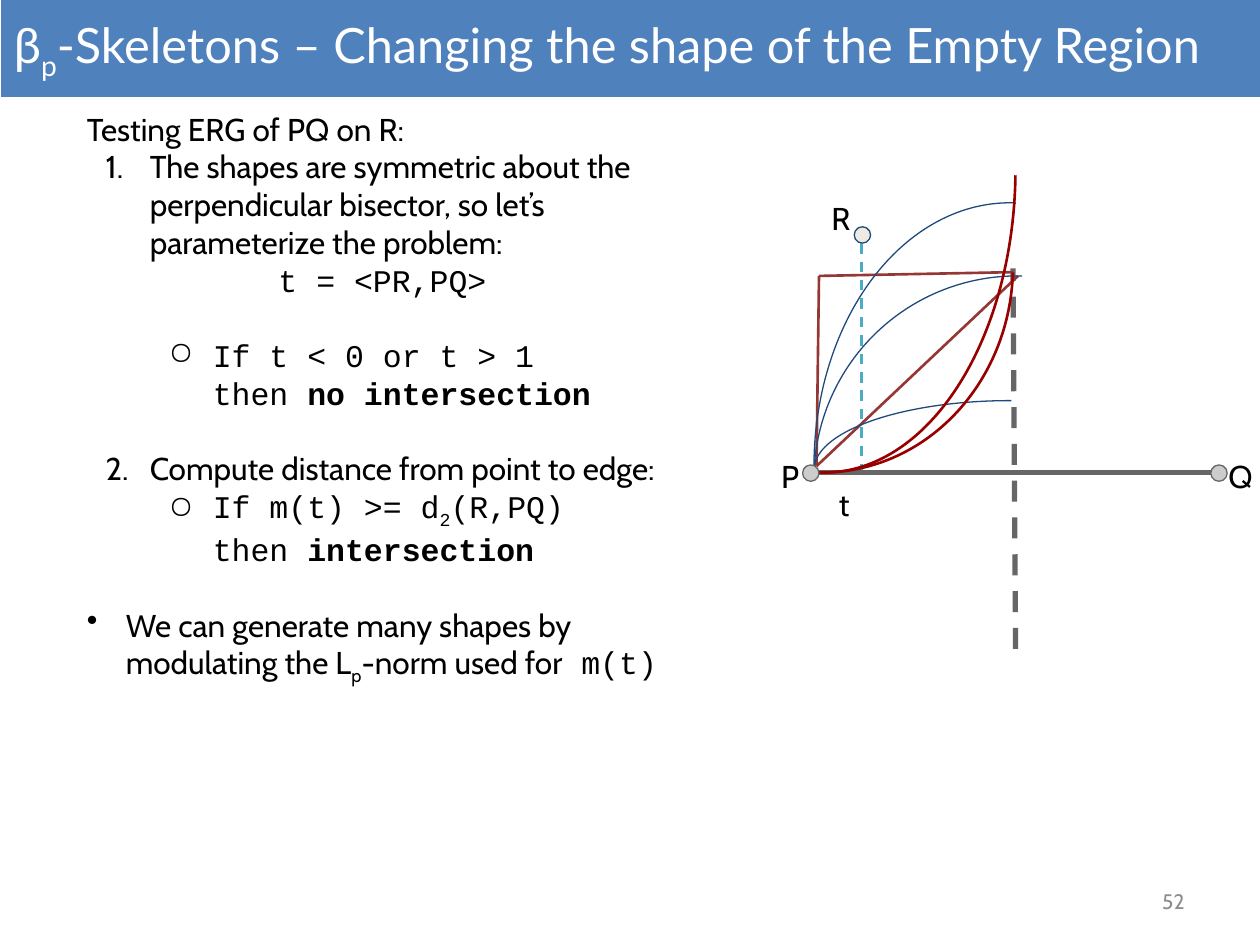
"""Build the slide on testing empty-region shapes of beta-skeletons."""
import pptx
import pptx.dml.color
import pptx.enum.dml
import pptx.enum.shapes
import pptx.enum.text
import pptx.oxml.ns
import pptx.util
from lxml import etree

Inches = pptx.util.Inches
Pt = pptx.util.Pt
RGBColor = pptx.dml.color.RGBColor
SHAPE = pptx.enum.shapes.MSO_SHAPE
ALIGN = pptx.enum.text.PP_ALIGN
ANCHOR = pptx.enum.text.MSO_ANCHOR

BLUE = RGBColor(0x4F, 0x81, 0xBD)
NAVY = RGBColor(0x1F, 0x49, 0x7D)
TEAL = RGBColor(0x4B, 0xAC, 0xC6)
BRICK = RGBColor(0x95, 0x37, 0x35)
RED = RGBColor(0x98, 0x00, 0x00)
GRAY = RGBColor(0x66, 0x66, 0x66)
SILVER = RGBColor(0xCC, 0xCC, 0xCC)
CREAM = RGBColor(0xEE, 0xEC, 0xE1)
PALE = RGBColor(0x8C, 0x8C, 0x8C)
BLACK = RGBColor(0, 0, 0)
WHITE = RGBColor(255, 255, 255)

CABIN = {"name": "Cabin", "size": Pt(18), "color": BLACK}
CODE = {**CABIN, "name": "Courier New"}
STRONG = {**CODE, "bold": True}
HEADING = {"name": "Lato", "size": Pt(27.8), "color": WHITE}
NUMBER = {"name": "Cabin", "size": Pt(12), "color": PALE}
SUB = {"baseline": "-25000"}

TITLE = [("β", HEADING), ("p", {**HEADING, **SUB}),
         ("-Skeletons – Changing the shape of the Empty Region", HEADING)]

NUMBERED = {"margin": 0.5, "indent": -0.35}
CIRCLE = {"margin": 1, "indent": -0.35, "bullet": ("buChar", {"char": "○"}), "level": 1}
THEN = {"margin": 1}
GAP = {"space_before": Pt(21.5)}


def numbered(start):
    return {**NUMBERED, "bullet": ("buAutoNum", {"type": "arabicPeriod", "startAt": str(start)})}


BODY = [
    ({}, [("Testing ERG of PQ on R:", CABIN)]),
    (numbered(1), [("The shapes are symmetric about the perpendicular bisector, "
                    "so let’s parameterize the problem:", CABIN)]),
    ({"alignment": ALIGN.CENTER}, [("t = <PR,PQ>", CODE)]),
    ({**CIRCLE, **GAP}, [("If t < 0 or t > 1", CODE)]),
    (THEN, [("then ", CODE), ("no intersection", STRONG)]),
    ({**numbered(2), **GAP}, [("Compute distance from point to edge:", CABIN)]),
    (CIRCLE, [("If m(t) >= d", CODE), ("2", {**CODE, **SUB}), ("(R,PQ)", CODE)]),
    (THEN, [("then ", CODE), ("intersection", STRONG)]),
    ({"margin": 0.31, "indent": -0.31, "bullet": ("buChar", {"char": "•"}), **GAP},
     [("We can generate many shapes by modulating the L", CABIN), ("p", {**CABIN, **SUB}),
      ("-norm used for", CABIN), (" m(t)", CODE)]),
]

UPPER_LEFT = (108.25, 162.8)
LOWER_RIGHT = (1.16, 54.68)
ARCS = [
    ((6.46, 2.19, 3.23, 3.23), UPPER_LEFT, NAVY, 0.75),
    ((6.46, 3.18, 3.11, 1.1), UPPER_LEFT, NAVY, 0.75),
    ((6.46, 1.61, 3.11, 4.19), UPPER_LEFT, NAVY, 0.75),
    ((5.01, 0.47, 3.03, 3.28), LOWER_RIGHT, RED, 1.5),
    ((5.03, -1.07, 3.03, 4.82), LOWER_RIGHT, RED, 1.5),
]
LINES = [
    ((6.5, 3.75), (9.61, 3.75), GRAY, 3, False),
    ((6.84, 1.93), (6.84, 3.73), TEAL, 1.5, True),
    ((8.06, 5.15), (8.04, 2.13), GRAY, 3, True),
    ((6.48, 3.7), (8.08, 2.19), BRICK, 1.5, False),
    ((6.48, 3.7), (6.5, 2.19), BRICK, 1.5, False),
    ((8.04, 2.16), (6.5, 2.19), BRICK, 1.5, False),
]
NODE_SIZE = 0.13
NODES = [((6.37, 3.69), SILVER, GRAY), ((6.78, 1.8), CREAM, NAVY), ((9.61, 3.69), SILVER, GRAY)]
LABELS = [("P", 6.1, 3.53), ("Q", 9.65, 3.53), ("R", 6.5, 1.48), ("t", 6.56, 3.75)]


def lengths(values):
    return [Inches(value) for value in values]


def write_spans(para, spans):
    for text, style in spans:
        span = para.add_run()
        span.text = text
        for key, value in style.items():
            if key == "color":
                span.font.color.rgb = value
            elif key == "baseline":
                span.font._element.set("baseline", value)
            else:
                setattr(span.font, key, value)


def format_para(para, layout):
    properties = para._p.get_or_add_pPr()
    properties.set("marL", str(Inches(layout.get("margin", 0))))
    properties.set("indent", str(Inches(layout.get("indent", 0))))
    if "bullet" in layout:
        tag, attributes = layout["bullet"]
        etree.SubElement(properties, pptx.oxml.ns.qn("a:" + tag), attributes)
    for key in ("alignment", "level", "space_before"):
        if key in layout:
            setattr(para, key, layout[key])


def add_text(page, at, paragraphs, inset=0.1, anchor=ANCHOR.TOP):
    frame = page.shapes.add_textbox(*lengths(at)).text_frame
    frame.word_wrap = True
    frame.vertical_anchor = anchor
    for side in ("left", "top", "right", "bottom"):
        setattr(frame, "margin_" + side, Inches(inset))
    for index, (layout, spans) in enumerate(paragraphs):
        para = frame.add_paragraph() if index else frame.paragraphs[0]
        format_para(para, layout)
        write_spans(para, spans)


def add_outline(page, kind, at, color, width):
    shape = page.shapes.add_shape(kind, *lengths(at))
    shape.shadow.inherit = False
    shape.fill.background()
    shape.line.color.rgb = color
    shape.line.width = Pt(width)
    return shape


def add_line(page, start, end, color, width, dashed):
    line = page.shapes.add_connector(
        pptx.enum.shapes.MSO_CONNECTOR.STRAIGHT, *lengths(start + end))
    line.line.color.rgb = color
    line.line.width = Pt(width)
    if dashed:
        line.line.dash_style = pptx.enum.dml.MSO_LINE.DASH
    etree.SubElement(line._element.spPr, pptx.oxml.ns.qn("a:effectLst"))


def add_title(page):
    title = page.shapes.title
    title.left, title.top, title.width, title.height = lengths((0.01, 0, 10, 0.77))
    title.fill.solid()
    title.fill.fore_color.rgb = BLUE
    frame = title.text_frame
    frame.auto_size = pptx.enum.text.MSO_AUTO_SIZE.NONE
    frame.vertical_anchor = ANCHOR.MIDDLE
    frame.paragraphs[0].alignment = ALIGN.LEFT
    write_spans(frame.paragraphs[0], TITLE)


def main():
    deck = pptx.Presentation()
    deck.slide_width, deck.slide_height = lengths((10, 7.5))
    page = deck.slides.add_slide(deck.slide_layouts[5])
    add_title(page)
    add_text(page, (0.59, 0.77, 4.89, 6.19), BODY)
    for line in LINES:
        add_line(page, *line)
    for at, angles, color, width in ARCS:
        arc = add_outline(page, SHAPE.ARC, at, color, width)
        arc.adjustments[0], arc.adjustments[1] = angles
    for corner, fill, color in NODES:
        node = add_outline(page, SHAPE.OVAL, corner + (NODE_SIZE, NODE_SIZE), color, 0.75)
        node.fill.solid()
        node.fill.fore_color.rgb = fill
    for text, left, top in LABELS:
        add_text(page, (left, top, 0.28, 0.44), [({}, [(text, CABIN)])])
    add_text(page, (7.17, 6.95, 2.33, 0.4), [({"alignment": ALIGN.RIGHT}, [("52", NUMBER)])],
             anchor=ANCHOR.MIDDLE)
    deck.save("out.pptx")


if __name__ == "__main__":
    main()
